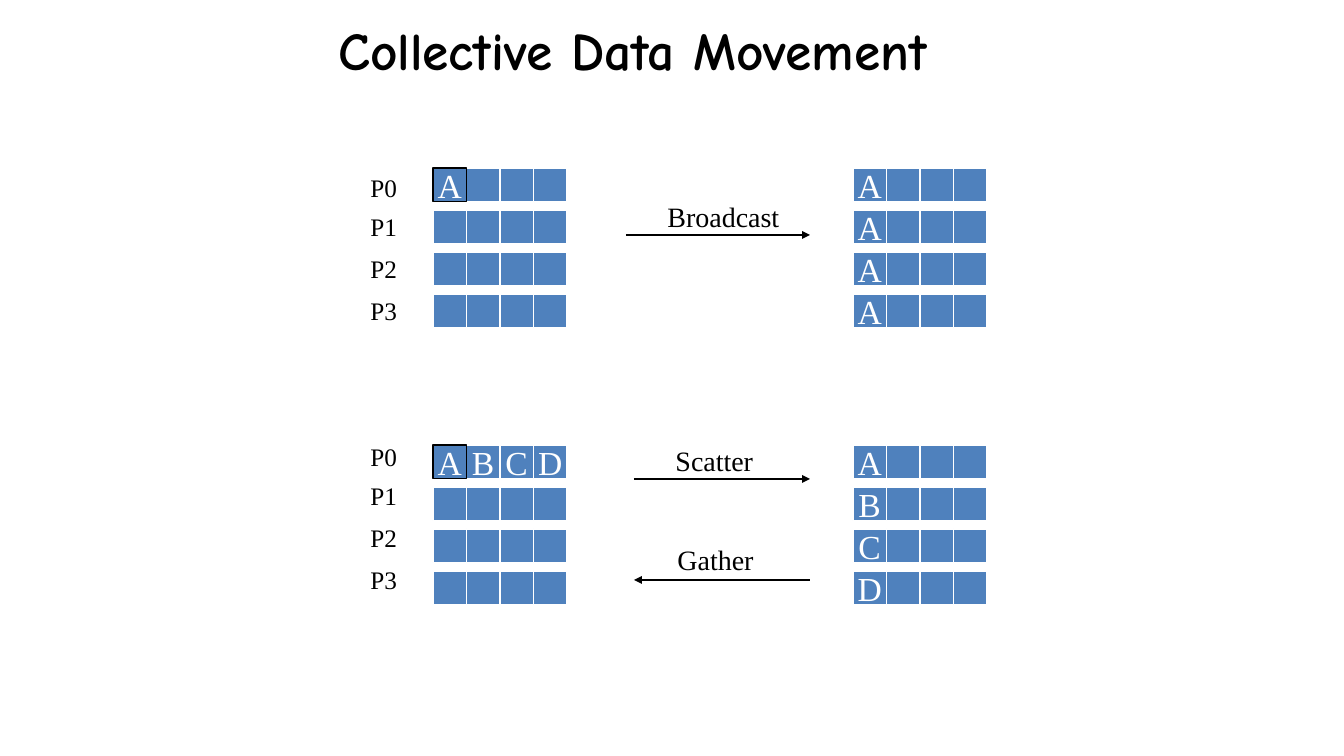
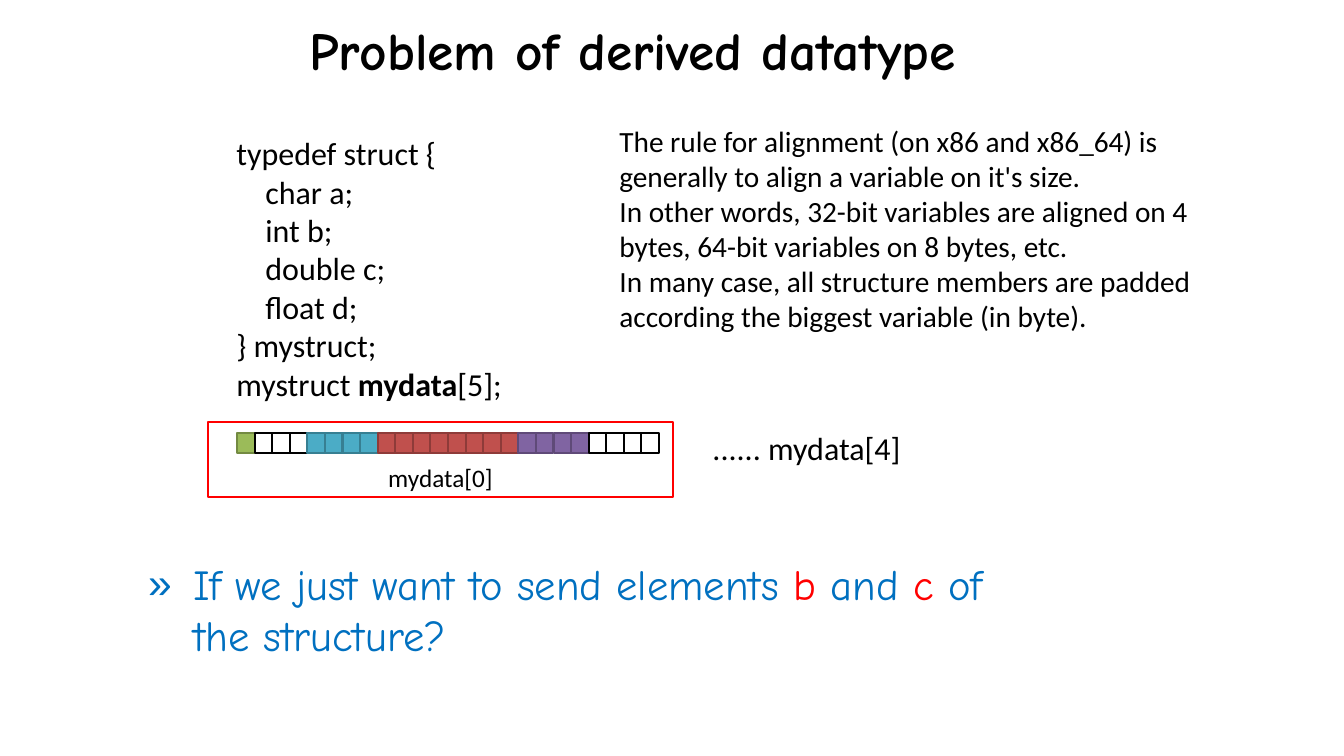
from lxml import etree
from pptx import Presentation
from pptx.dml.color import RGBColor
from pptx.enum.shapes import MSO_CONNECTOR, MSO_SHAPE
from pptx.enum.text import MSO_ANCHOR, MSO_AUTO_SIZE, PP_ALIGN
from pptx.oxml.ns import qn
from pptx.util import Pt

PX = 9525  # EMU per pixel
RECT, STRAIGHT = MSO_SHAPE.RECTANGLE, MSO_CONNECTOR.STRAIGHT
LEFT, CENTER = PP_ALIGN.LEFT, PP_ALIGN.CENTER
TOP, MIDDLE, BOTTOM = MSO_ANCHOR.TOP, MSO_ANCHOR.MIDDLE, MSO_ANCHOR.BOTTOM
NO_FIT, GROW = MSO_AUTO_SIZE.NONE, MSO_AUTO_SIZE.SHAPE_TO_FIT_TEXT

BLACK = RGBColor(0x00, 0x00, 0x00)
WHITE = RGBColor(0xFF, 0xFF, 0xFF)
RED = RGBColor(0xFF, 0x00, 0x00)
BLUE = RGBColor(0x00, 0x70, 0xC0)
CELL_BLUE = RGBColor(0x4F, 0x81, 0xBD)
GREEN, DARK_GREEN = RGBColor(0x9B, 0xBB, 0x59), RGBColor(0x73, 0x8A, 0x42)
TEAL, DARK_TEAL = RGBColor(0x4B, 0xAC, 0xC6), RGBColor(0x37, 0x7F, 0x92)
BRICK, DARK_BRICK = RGBColor(0xC0, 0x50, 0x4D), RGBColor(0x8E, 0x3B, 0x39)
PURPLE, DARK_PURPLE = RGBColor(0x80, 0x64, 0xA2), RGBColor(0x5F, 0x4A, 0x78)
COMIC, SERIF, SANS = "Comic Neue", "Times New Roman", "Calibri"


def write(sp, lines, font=SANS, size=24, color=BLACK, bold=False, align=LEFT,
          anchor=TOP, wrap=False, fit=NO_FIT):
    """Fill a shape; a line is a string or a list of (text, color, bold) runs."""
    tf = sp.text_frame
    tf.word_wrap, tf.auto_size, tf.vertical_anchor = wrap, fit, anchor
    for i, line in enumerate(lines):
        p = tf.add_paragraph() if i else tf.paragraphs[0]
        p.alignment, p.space_before = align, Pt(0)
        runs = [(line, color, bold)] if isinstance(line, str) else line
        for text, run_color, run_bold in runs:
            r = p.add_run()
            r.text = text
            r.font.name, r.font.size, r.font.bold = font, Pt(size), run_bold
            r.font.color.rgb = run_color
    return tf


def box(s, x, y, w, h, fill, line, width):
    """Add a flat rectangle, in EMU; fill None leaves it empty."""
    sp = s.shapes.add_shape(RECT, x, y, w, h)
    sp.shadow.inherit = False
    if fill is None:
        sp.fill.background()
    else:
        sp.fill.solid()
        sp.fill.fore_color.rgb = fill
    sp.line.color.rgb, sp.line.width = line, Pt(width)
    return sp


prs = Presentation()
prs.slide_width, prs.slide_height = 1344 * PX, 756 * PX

# Both slides with their shared title style
slides = []
for layout, title in ((5, "Collective Data Movement"), (1, "Problem of derived datatype")):
    s = prs.slides.add_slide(prs.slide_layouts[layout])
    sp = s.shapes.title
    sp.left, sp.top, sp.width, sp.height = 67 * PX, 8 * PX, 1131 * PX, 83 * PX
    tf = write(sp, [title], font=COMIC, size=40, bold=True, align=CENTER,
               anchor=MIDDLE, wrap=True)
    tf.margin_left = tf.margin_right = 12 * PX
    tf.margin_top = tf.margin_bottom = 6 * PX
    slides.append(s)
movement, datatype = slides

# Slide 1: process memories before and after each operation
CELL, ROW_PITCH = 134 * PX // 4, 42 * PX
for left, top, rows in (
    (433, 168, ("A", "", "", "")),
    (853, 168, ("A", "A", "A", "A")),
    (433, 445, ("ABCD", "", "", "")),
    (853, 445, ("A", "B", "C", "D")),
):
    for row, letters in enumerate(rows):
        for col in reversed(range(4)):
            is_source = left == 433 and row == col == 0
            sp = box(movement, left * PX + col * CELL, top * PX + row * ROW_PITCH,
                     CELL, CELL, CELL_BLUE, BLACK if is_source else WHITE, 1)
            if col < len(letters):
                write(sp, [letters[col]], font=SERIF, size=25.2, color=WHITE,
                      align=CENTER, anchor=MIDDLE)

# Process labels
for top in (168, 437):
    for rank, offset in enumerate((0, 39, 81, 123)):
        sp = movement.shapes.add_textbox(361 * PX, (top + offset) * PX, 50 * PX, 40 * PX)
        write(sp, [f"P{rank}"], font=SERIF, size=18.9, fit=GROW)

# Operations: label and arrow
for name, x, y, w, start, end, arrow_y in (
    ("Broadcast", 658, 195, 140, 626, 810, 235),
    ("Scatter", 666, 439, 106, 634, 810, 479),
    ("Gather", 668, 538, 106, 810, 634, 580),
):
    arrow = movement.shapes.add_connector(STRAIGHT, start * PX, arrow_y * PX,
                                          end * PX, arrow_y * PX)
    arrow.line.color.rgb, arrow.line.width = BLACK, Pt(1)
    etree.SubElement(arrow.line._get_or_add_ln(), qn("a:tailEnd"), type="triangle")
    etree.SubElement(arrow._element.spPr, qn("a:effectLst"))
    sp = movement.shapes.add_textbox(x * PX, y * PX, w * PX, 43 * PX)
    write(sp, [name], font=SERIF, size=21, wrap=True, fit=GROW)

# Slide 2: question in the body placeholder
body = datatype.placeholders[1]
body.left, body.top, body.width, body.height = 136 * PX, 552 * PX, 870 * PX, 136 * PX
tf = write(body, [[("If we just want to send elements ", BLUE, False), ("b", RED, False),
                   (" and ", BLUE, False), ("c", RED, False),
                   (" of the structure?", BLUE, False)]],
           font=COMIC, size=32, wrap=True)
tf.margin_left = tf.margin_right = 12 * PX
tf.margin_top = tf.margin_bottom = 6 * PX
pPr = tf.paragraphs[0]._p.get_or_add_pPr()
pPr.set("marL", str(45 * PX))
pPr.set("indent", str(-45 * PX))
etree.SubElement(pPr, qn("a:buChar"), char="»")

# Struct definition, last element and alignment rule
code = [
    "typedef struct {",
    "    char a;",
    "    int b;",
    "    double c;",
    "    float d;",
    "} mystruct;",
    [("mystruct ", BLACK, False), ("mydata", BLACK, True), ("[5];", BLACK, False)],
]
rule = [
    "The rule for alignment (on x86 and x86_64) is generally to align a variable on it's size.",
    "In other words, 32-bit variables are aligned on 4 bytes, 64-bit variables on 8 bytes, etc.",
    "In many case, all structure members are padded according the biggest variable (in byte).",
]
for lines, x, y, w, h, size in (
    (code, 227, 129, 300, 281, 24),
    (["...... mydata[4]"], 703, 424, 333, 48, 24),
    (rule, 610, 118, 650, 223, 22),
):
    sp = datatype.shapes.add_textbox(x * PX, y * PX, w * PX, h * PX)
    write(sp, lines, size=size, wrap=True, fit=GROW)

# Byte layout of one element: members and padding
frame = box(datatype, 208 * PX, 422 * PX, 465 * PX, 75 * PX, None, RED, 1.5)
write(frame, ["mydata[0]"], size=18.9, align=CENTER, anchor=BOTTOM, wrap=True)
BYTE = 422 * PX // 24
x = 237 * PX
for count, fill, line in (
    (1, GREEN, DARK_GREEN),
    (3, WHITE, BLACK),
    (4, TEAL, DARK_TEAL),
    (8, BRICK, DARK_BRICK),
    (4, PURPLE, DARK_PURPLE),
    (4, WHITE, BLACK),
):
    for _ in range(count):
        box(datatype, x, 433 * PX, BYTE, 20 * PX, fill, line, 1.5)
        x += BYTE

prs.save("out.pptx")
